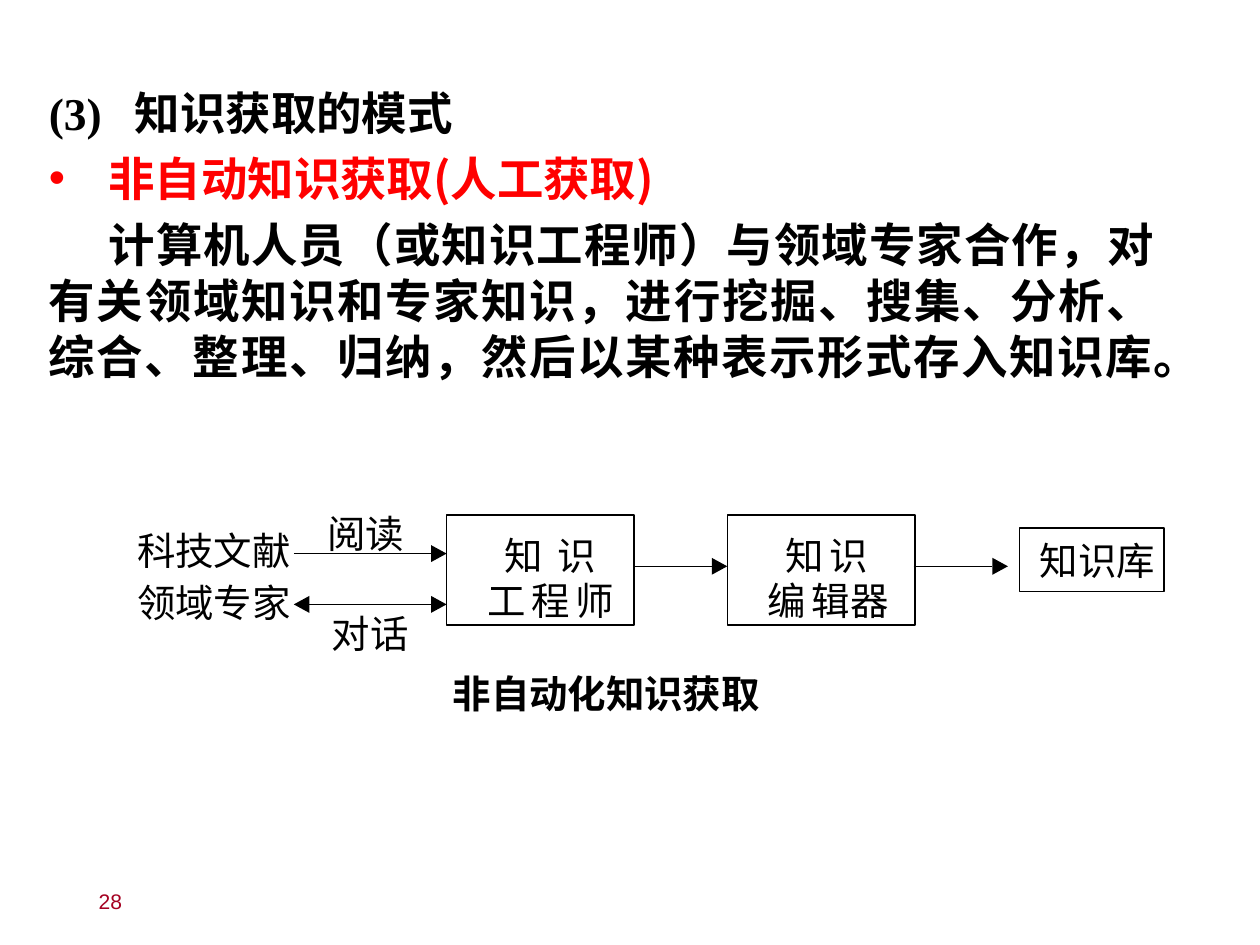
from lxml.etree import SubElement
from pptx import Presentation
from pptx.dml.color import RGBColor
from pptx.enum.shapes import MSO_CONNECTOR, MSO_SHAPE
from pptx.enum.text import MSO_ANCHOR, PP_ALIGN
from pptx.oxml.ns import qn
from pptx.util import Cm, Pt

COLOURS = {"black": "000000", "red": "FF0000", "crimson": "A50021"}
CHINESE_FONT = "Noto Sans CJK SC"

PAGE_NUMBER = "28"
HEADING = "(3)\t知识获取的模式"
BULLET = "非自动知识获取(人工获取)"
EXPLANATION = (
    "计算机人员（或知识工程师）与领域专家合作，对有关领域知识和专家知识，"
    "进行挖掘、搜集、分析、综合、整理、归纳，然后以某种表示形式存入知识库。"
)
CAPTION = ("非自动化知识获取", 9.63, 14.17)
LABELS = [
    ("科技文献", 2.92, 11.13), ("领域专家", 2.92, 12.24),
    ("阅读", 6.96, 10.77), ("对话", 7.06, 12.9),
    ("知", 10.74, 11.23), ("识", 11.86, 11.23),
    ("工", 10.36, 12.19), ("程", 11.3, 12.19), ("师", 12.24, 12.19),
    ("知", 16.71, 11.23), ("识", 17.65, 11.23),
    ("编", 16.33, 12.19), ("辑器", 17.27, 12.19),
    ("知识库", 22.12, 11.35),
]
BOXES = [
    (9.5, 10.95, 3.99, 2.34),
    (15.47, 10.95, 3.99, 2.34),
    (21.69, 11.23, 3.07, 1.35),
]
ARROWS = [
    (6.25, 9.5, 11.77, False),
    (6.25, 9.5, 12.85, True),
    (13.48, 15.47, 12.04, False),
    (19.43, 21.44, 12.04, False),
]
HEAD_LENGTH, HEAD_HALF = 0.33, 0.18
LINE_WIDTH = Pt(0.88)
CHARACTER_WIDTH, LABEL_HEIGHT = 0.83, 1
INDENT = Cm(1.27)


def colour(name):
    return RGBColor.from_string(COLOURS[name])


def add_text_frame(slide, left, top, width, height):
    box = slide.shapes.add_textbox(Cm(left), Cm(top), Cm(width), Cm(height))
    return box.text_frame


def add_run(paragraph, text, size, font=CHINESE_FONT, tint="black", bold=False):
    run = paragraph.add_run()
    run.text = text
    run.font.size = Pt(size)
    run.font.name = font
    run.font.bold = bold
    run.font.color.rgb = colour(tint)
    east_asian = SubElement(run.font._element, qn("a:ea"))
    east_asian.set("typeface", CHINESE_FONT)


def add_label(slide, text, left, top, bold=False):
    frame = add_text_frame(slide, left, top, CHARACTER_WIDTH * len(text), LABEL_HEIGHT)
    frame.margin_left = frame.margin_right = frame.margin_top = frame.margin_bottom = 0
    frame.word_wrap = False
    paragraph = frame.paragraphs[0]
    paragraph.line_spacing = Pt(30)
    add_run(paragraph, text, 23.2, bold=bold)


def add_body(slide):
    frame = add_text_frame(slide, 0.79, 1.65, 24, 6.65)
    frame.word_wrap = True
    heading = frame.paragraphs[0]
    bullet, explanation = frame.add_paragraph(), frame.add_paragraph()
    for paragraph in (heading, bullet, explanation):
        paragraph.line_spacing = Pt(33.8)
    for paragraph in (bullet, explanation):
        paragraph.space_before = Pt(6)
        paragraph.alignment = PP_ALIGN.JUSTIFY

    tabs = SubElement(heading._p.get_or_add_pPr(), qn("a:tabLst"))
    SubElement(tabs, qn("a:tab"), pos=str(Cm(1.83)), algn="l")
    add_run(heading, HEADING, 27.4, "Times New Roman", bold=True)

    properties = bullet._p.get_or_add_pPr()
    properties.set("marL", str(INDENT))
    properties.set("indent", str(-INDENT))
    SubElement(properties, qn("a:buFont"), typeface="Arial")
    SubElement(properties, qn("a:buChar"), char="•")
    add_run(bullet, BULLET, 28, tint="red", bold=True)

    explanation._p.get_or_add_pPr().set("indent", str(INDENT))
    add_run(explanation, EXPLANATION, 28, "DejaVu Sans", bold=True)
    add_run(explanation, " ", 20, "DejaVu Sans", bold=True)


def add_box(slide, left, top, width, height):
    shape = slide.shapes.add_shape(
        MSO_SHAPE.RECTANGLE, Cm(left), Cm(top), Cm(width), Cm(height))
    shape.shadow.inherit = False
    shape.fill.background()
    shape.line.color.rgb = colour("black")
    shape.line.width = LINE_WIDTH


def add_head(slide, tip, base, middle):
    builder = slide.shapes.build_freeform(Cm(base), Cm(middle + HEAD_HALF))
    builder.add_line_segments(
        [(Cm(tip), Cm(middle)), (Cm(base), Cm(middle - HEAD_HALF))], close=True)
    shape = builder.convert_to_shape()
    shape.shadow.inherit = False
    shape.fill.solid()
    shape.fill.fore_color.rgb = colour("black")
    shape.line.fill.background()


def add_arrow(slide, left, right, middle, two_way):
    start = left + HEAD_LENGTH if two_way else left
    end = right - HEAD_LENGTH
    connector = slide.shapes.add_connector(
        MSO_CONNECTOR.STRAIGHT, Cm(start), Cm(middle), Cm(end), Cm(middle))
    connector.line.color.rgb = colour("black")
    connector.line.width = LINE_WIDTH
    SubElement(connector._element.spPr, qn("a:effectLst"))
    add_head(slide, right, end, middle)
    if two_way:
        add_head(slide, left, start, middle)


def main():
    presentation = Presentation()
    presentation.slide_width, presentation.slide_height = Cm(26.8), Cm(20.09)
    slide = presentation.slides.add_slide(presentation.slide_layouts[6])

    number_frame = add_text_frame(slide, 1.85, 18.62, 6.02, 1.07)
    number_frame.word_wrap = True
    number_frame.vertical_anchor = MSO_ANCHOR.MIDDLE
    add_run(number_frame.paragraphs[0], PAGE_NUMBER, 12.7, "Arial", "crimson")

    add_body(slide)
    for box in BOXES:
        add_box(slide, *box)
    for label in LABELS:
        add_label(slide, *label)
    add_label(slide, *CAPTION, bold=True)
    for arrow in ARROWS:
        add_arrow(slide, *arrow)

    presentation.save("out.pptx")


if __name__ == "__main__":
    main()
